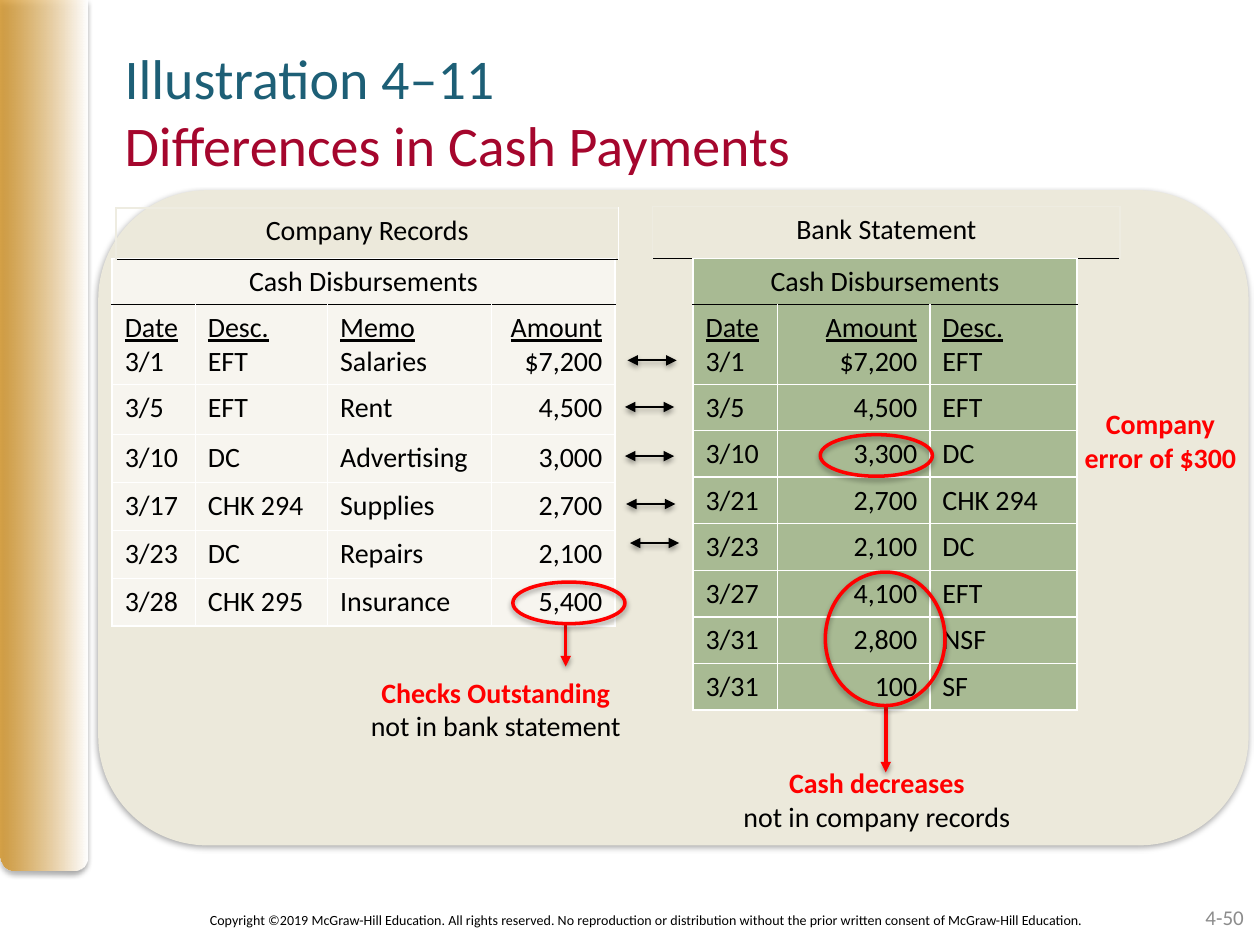
import pptx
import pptx.util
import pptx.dml.color
import pptx.enum.shapes
import pptx.enum.text
import pptx.oxml
import pptx.oxml.ns
from lxml import etree

Inches, Pt = pptx.util.Inches, pptx.util.Pt
ALIGN = pptx.enum.text.PP_ALIGN
ANCHOR = pptx.enum.text.MSO_ANCHOR
SHAPE = pptx.enum.shapes.MSO_SHAPE
qn = pptx.oxml.ns.qn

INK = {
    "gold": "D49323", "white": "FFFFFF", "black": "000000", "red": "FF0000",
    "teal": "1D5F76", "wine": "A5062D", "gray": "8C8C8C", "sand": "ECE9DB",
    "pale": "F7F5EF", "green": "A8BA93", "cream": "EEECE1",
}


def shade(name):
    return pptx.dml.color.RGBColor.from_string(INK[name])


class Deck:
    """Holds the text style and the current slide."""

    font = "Calibri"
    size = 16

    def __init__(self, wide, high):
        self.show = pptx.Presentation()
        self.show.slide_width, self.show.slide_height = Inches(wide), Inches(high)
        self.slide = self.show.slides.add_slide(self.show.slide_layouts[6])
        self.shapes = self.slide.shapes

    def put(self, frame, lines, align=ALIGN.LEFT, size=None, breaks=False):
        """Each line is (text, colour, styles); breaks keeps all in one paragraph."""
        para = frame.paragraphs[0]
        for i, (text, tint, marks) in enumerate(lines):
            if i and breaks:
                para.add_line_break()
            elif i:
                para = frame.add_paragraph()
            para.alignment = align
            run = para.add_run()
            run.text = text
            run.font.name = self.font
            run.font.size = Pt(size or self.size)
            run.font.color.rgb = shade(tint)
            run.font.bold = "b" in marks
            run.font.underline = "u" in marks

    def text(self, place, lines, align=ALIGN.CENTER, size=None, breaks=False,
             anchor=ANCHOR.TOP, wrap=True):
        frame = self.shapes.add_textbox(*map(Inches, place)).text_frame
        frame.word_wrap = wrap
        frame.vertical_anchor = anchor
        self.put(frame, lines, align, size, breaks)
        return frame

    def drop(self, shape, alpha=35, dist=1.8):
        """Adds the soft shadow below a shape; call it after fill and line."""
        props = shape._element.spPr
        for old in props.findall(qn("a:effectLst")):
            props.remove(old)
        group = etree.SubElement(props, qn("a:effectLst"))
        soft = etree.SubElement(group, qn("a:outerShdw"), blurRad=str(Pt(3.1)),
                                dist=str(Pt(dist)), dir="5400000", rotWithShape="0")
        tint = etree.SubElement(soft, qn("a:srgbClr"), val=INK["black"])
        etree.SubElement(tint, qn("a:alpha"), val=str(alpha * 1000))

    def bar(self, place):
        shape = self.shapes.add_shape(SHAPE.ROUND_2_SAME_RECTANGLE, *map(Inches, place))
        shape._element.spPr.xfrm.set("flipV", "1")
        shape.fill.gradient()
        shape.fill.gradient_angle = 0
        for stop, name in zip(shape.fill.gradient_stops, ("gold", "white")):
            stop.color.rgb = shade(name)
        first = next(shape._element.spPr.iter(qn("a:srgbClr")))
        etree.SubElement(first, qn("a:alpha"), val="80000")
        shape.line.fill.background()
        self.drop(shape)

    def panel(self, place, fill):
        shape = self.shapes.add_shape(SHAPE.ROUNDED_RECTANGLE, *map(Inches, place))
        shape.fill.solid()
        shape.fill.fore_color.rgb = shade(fill)
        shape.line.fill.background()
        self.drop(shape)

    def ring(self, place):
        shape = self.shapes.add_shape(SHAPE.OVAL, *map(Inches, place))
        shape.fill.background()
        shape.line.color.rgb = shade("red")
        shape.line.width = Pt(2)
        self.drop(shape)

    def arrow(self, start, stop, tint, width, heads):
        line = self.shapes.add_connector(pptx.enum.shapes.MSO_CONNECTOR.STRAIGHT,
                                         *map(Inches, start + stop))
        line.line.color.rgb = shade(tint)
        line.line.width = Pt(width)
        for head in heads:
            etree.SubElement(line._element.spPr.find(qn("a:ln")), qn("a:" + head),
                             type="triangle")
        self.drop(line, 38, 1.6)

    def edge(self, cell, tints):
        """Draws cell borders; tints lists left, right, top, bottom."""
        props = cell._tc.get_or_add_tcPr()
        for i, (side, name) in enumerate(zip("LRTB", tints)):
            line = etree.Element(qn("a:ln" + side), w=str(Pt(1)))
            fill = etree.SubElement(line, qn("a:solidFill"))
            etree.SubElement(fill, qn("a:srgbClr"), val=INK[name])
            props.insert(i, line)

    def grid(self, left, top, cols, rows):
        """Adds a bare table without banded style."""
        place = (left, top, sum(cols), sum(rows))
        table = self.shapes.add_table(len(rows), len(cols), *map(Inches, place)).table
        table.first_row = table.horz_banding = False
        for col, wide in zip(table.columns, cols):
            col.width = Inches(wide)
        for row, high in zip(table.rows, rows):
            row.height = Inches(high)
        return table

    def band(self, place, label, right):
        """Adds a one-cell table that names the ledger below it."""
        left, top, wide, high = place
        cell = self.grid(left, top, [wide], [high]).cell(0, 0)
        cell.fill.background()
        self.edge(cell, ("cream", right, "cream", "black"))
        self.put(cell.text_frame, [(label, "black", "")], ALIGN.CENTER)

    def ledger(self, left, top, cols, rows, fill, heads, data):
        """The first data row shares its cells with the underlined heads."""
        table = self.grid(left, top, cols, rows)
        for r in range(len(rows)):
            for c, head in enumerate(heads):
                cell = table.cell(r, c)
                cell.fill.solid()
                cell.fill.fore_color.rgb = shade(fill)
                self.edge(cell, ("white", "white", "black" if r == 1 else "white",
                                 "black" if r == 0 else "white"))
                if r == 0:
                    continue
                lines = [(head, "black", "u")] if r == 1 else []
                lines.append((data[r - 1][c], "black", ""))
                self.put(cell.text_frame, lines,
                         ALIGN.RIGHT if head == "Amount" else ALIGN.LEFT)
        table.cell(0, 0).merge(table.cell(0, len(cols) - 1))
        self.put(table.cell(0, 0).text_frame,
                 [("Cash Disbursements", "black", "")], ALIGN.CENTER)


BOOKS = [
    ("3/1", "EFT", "Salaries", "$7,200"),
    ("3/5", "EFT", "Rent", "4,500"),
    ("3/10", "DC", "Advertising", "3,000"),
    ("3/17", "CHK 294", "Supplies", "2,700"),
    ("3/23", "DC", "Repairs", "2,100"),
    ("3/28", "CHK 295", "Insurance", "5,400"),
]
BANK = [
    ("3/1", "$7,200", "EFT"), ("3/5", "4,500", "EFT"),
    ("3/10", "3,300", "DC"), ("3/21", "2,700", "CHK 294"),
    ("3/23", "2,100", "DC"), ("3/27", "4,100", "EFT"),
    ("3/31", "2,800", "NSF"), ("3/31", "100", "SF"),
]


def main():
    deck = Deck(10, 7.5)
    deck.bar((0, 0, 0.69, 6.91))
    title = deck.text((0.89, 0.16, 9, 1.25),
                      [("Illustration 4–11", "teal", ""),
                       ("Differences in Cash Payments", "wine", "")],
                      ALIGN.LEFT, 32, breaks=True, anchor=ANCHOR.BOTTOM)
    title.margin_bottom = 0
    deck.text((1.56, 7.1, 7.15, 0.4),
              [("Copyright ©2019 McGraw-Hill Education. All rights reserved. No reproduction or "
                "distribution without the prior written consent of McGraw-Hill Education.",
                "black", "")], size=8, anchor=ANCHOR.MIDDLE, wrap=False)
    deck.text((7.64, 7.08, 2.33, 0.4), [("4-50", "gray", "")],
              ALIGN.RIGHT, 12, anchor=ANCHOR.MIDDLE)
    deck.panel((0.78, 1.51, 9.13, 5.2), "sand")

    deck.ledger(0.89, 2.05, [0.66, 1.05, 1.3, 0.98], [0.35, 0.63, 0.4] + [0.38] * 4,
                "pale", ("Date", "Desc.", "Memo", "Amount"), BOOKS)
    deck.band((0.92, 1.65, 3.99, 0.41), "Company Records", "white")
    deck.band((5.18, 1.64, 3.71, 0.41), "Bank Statement", "cream")
    deck.ledger(5.5, 2.05, [0.67, 1.21, 1.17], [0.36, 0.63, 0.36] + [0.37] * 6,
                "green", ("Date", "Amount", "Desc."), BANK)

    deck.text((8.5, 3.18, 1.42, 0.64),
              [("Company", "red", "b"), ("error of $300", "red", "b")],
              breaks=True, wrap=False)
    deck.text((2.78, 5.31, 2.31, 0.64),
              [("Checks Outstanding", "red", "b"), ("not in bank statement", "black", "")])
    deck.text((5.73, 6.03, 2.46, 0.64),
              [("Cash decreases", "red", "b"), ("not in company records", "black", "")])

    for x, y in ((4.98, 2.86), (4.96, 3.23), (4.96, 3.62), (4.97, 4), (5, 4.31)):
        deck.arrow((x, y), (x + 0.39, y), "black", 1, ("headEnd", "tailEnd"))
    for x, top, tip in ((7.03, 5.61, 6.13), (4.49, 4.95, 5.29)):
        deck.arrow((x, top), (x, tip), "red", 2, ("tailEnd",))
    for place in ((4.07, 4.62, 0.89, 0.33), (6.55, 4.54, 0.95, 1.06), (6.51, 3.45, 0.89, 0.33)):
        deck.ring(place)
    deck.show.save("out.pptx")


if __name__ == "__main__":
    main()
